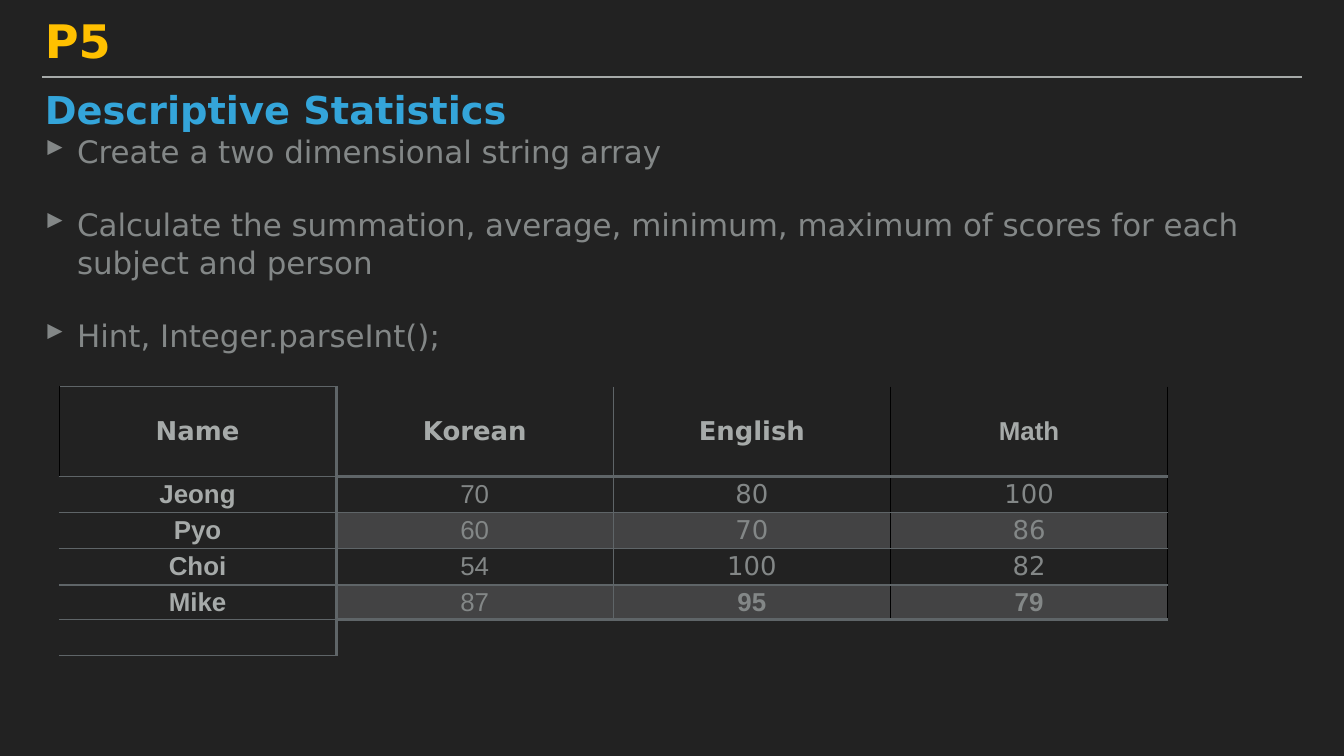
import pptx
import pptx.util
import pptx.dml.color
import pptx.enum.text
import pptx.enum.shapes
import pptx.oxml
import pptx.oxml.ns
import lxml.etree

Inches = pptx.util.Inches
Pt = pptx.util.Pt
RGBColor = pptx.dml.color.RGBColor
ALIGN = pptx.enum.text.PP_ALIGN
ANCHOR = pptx.enum.text.MSO_ANCHOR
qn = pptx.oxml.ns.qn

BACKGROUND = RGBColor(0x22, 0x22, 0x22)
AMBER = RGBColor(0xFF, 0xC0, 0x00)
BLUE = RGBColor(0x34, 0xA5, 0xDA)
GREY = RGBColor(0x83, 0x87, 0x87)
LIGHT_GREY = RGBColor(0xA6, 0xAA, 0xA9)
BAND = RGBColor(0xDC, 0xDE, 0xE0)
GRID = RGBColor(0x5F, 0x65, 0x68)
BLACK = RGBColor(0, 0, 0)

SANS = "DejaVu Sans"
ARIAL = "Arial"
THIN, THICK, HAIR = (GRID, 2), (GRID, 5), (BLACK, 0.75)
NO_STYLE = "{2D5ABB26-0587-4C30-8999-92F81FD0307C}"


def vertical_edge(row, col):
    if col == 0:
        return HAIR if row == 0 else None
    if col == 1:
        return THICK
    if col == 4:
        return HAIR
    if row == 5:
        return None
    return THIN if col == 2 else HAIR


def horizontal_edge(row, col):
    if col == 0:
        return THIN
    if row in (0, 6):
        return None
    return THICK if row in (1, 5) else THIN


class Deck:
    inset = Inches(0.06)

    def __init__(self, prs):
        self.s = prs.slides.add_slide(prs.slide_layouts[5])
        fill = self.s.background.fill
        fill.solid()
        fill.fore_color.rgb = BACKGROUND

    def run(self, p, text, size, color, font=SANS, bold=False):
        r = p.add_run()
        r.text = text
        r.font.size, r.font.name, r.font.bold = Pt(size), font, bold
        r.font.color.rgb = color

    def frame(self, sp, box, anchor=ANCHOR.TOP):
        sp.left, sp.top, sp.width, sp.height = [Inches(v) for v in box]
        tf = sp.text_frame
        tf.word_wrap = True
        tf.auto_size = pptx.enum.text.MSO_AUTO_SIZE.NONE
        tf.vertical_anchor = anchor
        tf.margin_left = tf.margin_right = self.inset
        tf.margin_top = tf.margin_bottom = self.inset
        return tf

    def heading(self, p, text, size, color):
        p.alignment = ALIGN.LEFT
        p.line_spacing = 0.8
        self.run(p, text, size, color, bold=True)

    def title(self, text, box):
        tf = self.frame(self.s.shapes.title, box, ANCHOR.BOTTOM)
        self.heading(tf.paragraphs[0], text, 66, AMBER)

    def subtitle(self, text, box):
        tf = self.frame(self.s.shapes.add_textbox(0, 0, 0, 0), box)
        self.heading(tf.paragraphs[0], text, 54.8, BLUE)

    def bullets(self, items, box):
        tf = self.frame(self.s.shapes.add_textbox(0, 0, 0, 0), box)
        for i, text in enumerate(items):
            p = tf.paragraphs[0] if i == 0 else tf.add_paragraph()
            if i:
                p.space_before = Pt(52)
            pPr = p._p.get_or_add_pPr()
            pPr.set("marL", str(Inches(0.64)))
            pPr.set("indent", str(Inches(-0.64)))
            color = lxml.etree.SubElement(pPr, qn("a:buClr"))
            lxml.etree.SubElement(color, qn("a:srgbClr")).set("val", str(GREY))
            lxml.etree.SubElement(pPr, qn("a:buChar")).set("char", "\u25b8")
            self.run(p, text, 44.2, GREY)

    def rule(self, x1, x2, y):
        line = self.s.shapes.add_connector(
            pptx.enum.shapes.MSO_CONNECTOR.STRAIGHT,
            Inches(x1), Inches(y), Inches(x2), Inches(y))
        line.line.color.rgb = LIGHT_GREY
        line.line.width = Pt(2)
        lxml.etree.SubElement(line._element.spPr, qn("a:effectLst"))

    def borders(self, cell, edges):
        tcPr = cell._tc.get_or_add_tcPr()
        for i, (side, edge) in enumerate(zip("LRTB", edges)):
            ln = lxml.etree.Element(qn("a:ln" + side))
            if edge:
                color, width = edge
                ln.set("w", str(Pt(width)))
                fill = lxml.etree.SubElement(ln, qn("a:solidFill"))
                lxml.etree.SubElement(fill, qn("a:srgbClr")).set("val", str(color))
            else:
                ln.set("w", "0")
                lxml.etree.SubElement(ln, qn("a:noFill"))
            tcPr.insert(i, ln)

    def cell_fill(self, cell, banded):
        if not banded:
            cell.fill.background()
            return
        cell.fill.solid()
        cell.fill.fore_color.rgb = BAND
        color = cell._tc.tcPr.find(".//" + qn("a:srgbClr"))
        lxml.etree.SubElement(color, qn("a:alpha")).set("val", "18000")

    def cell_font(self, row, col):
        if row == 0:
            return LIGHT_GREY, ARIAL if col == 3 else SANS, True
        if col == 0:
            return LIGHT_GREY, ARIAL, True
        if col == 1:
            return GREY, ARIAL, False
        return GREY, ARIAL if row == 4 else SANS, row == 4

    def table(self, rows, left, top, widths, heights):
        frame = self.s.shapes.add_table(
            len(heights), len(widths), Inches(left), Inches(top),
            Inches(sum(widths)), Inches(sum(heights)))
        t = frame.table
        t.first_row = t.horz_banding = False
        t._tbl.tblPr.find(qn("a:tableStyleId")).text = NO_STYLE
        for column, width in zip(t.columns, widths):
            column.width = Inches(width)
        for row, height in zip(t.rows, heights):
            row.height = Inches(height)
        for i, texts in enumerate(rows):
            for j, text in enumerate(texts):
                cell = t.cell(i, j)
                cell.margin_left = cell.margin_right = self.inset
                cell.margin_top = cell.margin_bottom = self.inset
                cell.vertical_anchor = ANCHOR.MIDDLE
                self.cell_fill(cell, i in (2, 4) and j > 0)
                self.borders(cell, (
                    vertical_edge(i, j), vertical_edge(i, j + 1),
                    horizontal_edge(i, j), horizontal_edge(i + 1, j)))
                p = cell.text_frame.paragraphs[0]
                p.alignment = ALIGN.CENTER
                if text:
                    color, font, bold = self.cell_font(i, j)
                    self.run(p, text, 37, color, font, bold)
        t.cell(5, 2).merge(t.cell(5, 3))


prs = pptx.Presentation()
prs.slide_width, prs.slide_height = Inches(26.67), Inches(15)
deck = Deck(prs)
deck.rule(0.83, 25.83, 1.53)
deck.subtitle("Descriptive Statistics", (0.83, 1.83, 25, 1.11))
deck.bullets([
    "Create a two dimensional string array",
    "Calculate the summation, average, minimum, maximum of scores "
    "for each subject and person",
    "Hint, Integer.parseInt();",
], (0.83, 2.57, 25, 2.43))
deck.title("P5", (0.83, 0.19, 22.92, 1.2))
deck.table([
    ["Name", "Korean", "English", "Math"],
    ["Jeong", "70", "80", "100"],
    ["Pyo", "60", "70", "86"],
    ["Choi", "54", "100", "82"],
    ["Mike", "87", "95", "79"],
    ["", "", "", ""],
], 1.17, 7.67, [5.5] * 4, [1.78] + [0.63] * 4 + [0.71])
prs.save("out.pptx")
